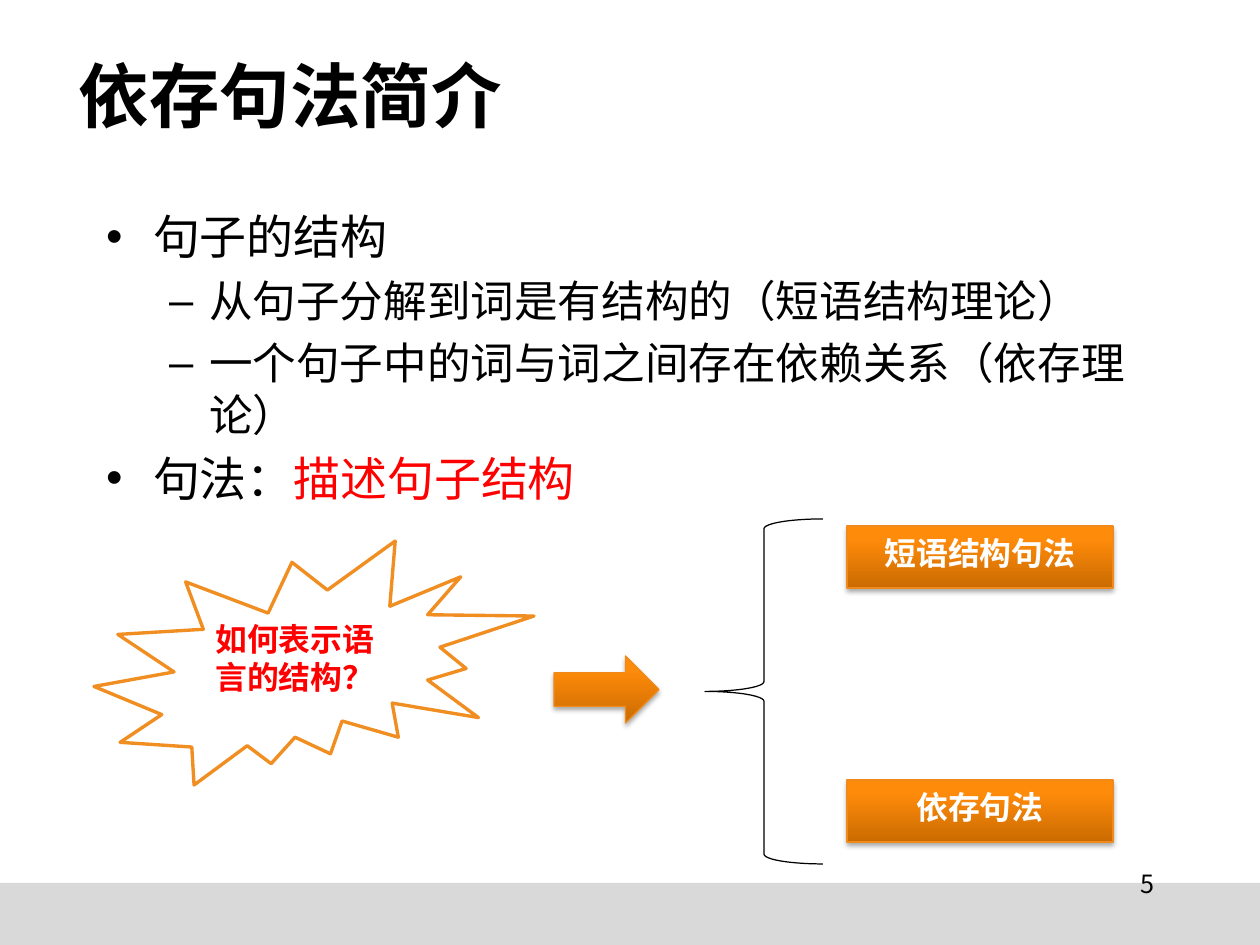
from pptx import Presentation
from pptx.dml.color import RGBColor
from pptx.enum.shapes import MSO_SHAPE
from pptx.enum.text import MSO_ANCHOR, MSO_AUTO_SIZE, PP_ALIGN
from pptx.oxml import parse_xml
from pptx.oxml.ns import nsdecls, qn
from pptx.util import Pt

PX = 7576  # EMU per px
SLIDE_SIZE = (1260, 945)
COLORS = {
    "black": "000000", "white": "FFFFFF", "red": "FF0000", "footer": "D9D9D9",
    "seal": "F08E21", "edge": "F08B1B",
}
GRADIENT = [(0, "CA6B01"), (80, "FF8B0A"), (100, "FF8B0B")]
SANS, SERIF = "Noto Sans CJK SC", "Times New Roman"

TITLE = "依存句法简介"
# level, [(text, color)]
BODY = [
    (0, [("句子的结构", "black")]),
    (1, [("从句子分解到词是有结构的（短语结构理论）", "black")]),
    (1, [("一个句子中的词与词之间存在依赖关系（依存理论）", "black")]),
    (0, [("句法：", "black"), ("描述句子结构", "red")]),
]
# level: size pt, line pitch pt, left margin px, hanging indent px
LEVELS = {0: (28, 33, 47, 47), 1: (26, 31, 103, 40)}
QUESTION = "如何表示语言的结构？"
PAGE_NUMBER = "5"
GRAMMARS = [
    [("短语结构", SERIF), ("句法", SANS)],
    [("依存", SANS), ("句法", SERIF)],
]
GRAMMAR_LEFT, GRAMMAR_TOP, GRAMMAR_PITCH = 847, 526, 254
GRAMMAR_SIZE = (266, 62)


def rgb(name):
    return RGBColor.from_string(COLORS[name])


def place(shape, left, top, width, height):
    shape.left, shape.top = left * PX, top * PX
    shape.width, shape.height = width * PX, height * PX


def add_run(paragraph, text, size, color, font=SANS, bold=False):
    run = paragraph.add_run()
    run.text = text
    run.font.size, run.font.bold = Pt(size), bold
    run.font.color.rgb = rgb(color)
    run.font.name = font
    latin = run.font._element.find(qn("a:latin"))
    latin.addnext(parse_xml(f'<a:ea {nsdecls("a")} typeface="{SANS}"/>'))


def set_frame(frame, anchor=MSO_ANCHOR.TOP, margins=(12, 6, 12, 6)):
    frame.word_wrap, frame.auto_size = True, MSO_AUTO_SIZE.NONE
    frame.vertical_anchor = anchor
    (frame.margin_left, frame.margin_top,
     frame.margin_right, frame.margin_bottom) = [m * PX for m in margins]


def add_shape(slide, kind, box, fill=None, line=None, line_width=0.75):
    shape = slide.shapes.add_shape(kind, *[value * PX for value in box])
    shape.shadow.inherit = False
    if fill:
        shape.fill.solid()
        shape.fill.fore_color.rgb = rgb(fill)
    else:
        shape.fill.background()
    if line:
        shape.line.color.rgb = rgb(line)
        shape.line.width = Pt(line_width)
    else:
        shape.line.fill.background()
    set_frame(shape.text_frame)
    return shape


def add_glossy_shape(slide, kind, box):
    """Add an orange gradient shape with a soft shadow below it."""
    shape = add_shape(slide, kind, box, line="edge")
    shape.fill.gradient()
    shape.fill.gradient_angle = 90
    properties = shape._element.spPr
    stops = properties.find(qn("a:gradFill")).find(qn("a:gsLst"))
    for stop in list(stops):
        stops.remove(stop)
    for position, color in GRADIENT:
        stops.append(parse_xml(
            f'<a:gs {nsdecls("a")} pos="{position * 1000}"><a:srgbClr val="{color}"/></a:gs>'))
    properties.find(qn("a:effectLst")).append(parse_xml(
        f'<a:outerShdw {nsdecls("a")} blurRad="{Pt(3.1)}" dist="{Pt(1.8)}" dir="5400000" '
        f'rotWithShape="0"><a:srgbClr val="{COLORS["black"]}"><a:alpha val="35000"/>'
        '</a:srgbClr></a:outerShdw>'))
    return shape


def add_title(slide):
    title = slide.shapes.title
    place(title, 69, 52, 590, 84)
    set_frame(title.text_frame, MSO_ANCHOR.MIDDLE, (10, 0, 0, 0))
    paragraph = title.text_frame.paragraphs[0]
    paragraph.alignment = PP_ALIGN.LEFT
    add_run(paragraph, TITLE, 42, "black", bold=True)


def add_body(slide):
    body = slide.placeholders[1]
    place(body, 94, 203, 1072, 638)
    frame = body.text_frame
    set_frame(frame)
    for index, (level, runs) in enumerate(BODY):
        paragraph = frame.add_paragraph() if index else frame.paragraphs[0]
        size, pitch, margin, hanging = LEVELS[level]
        paragraph.level = level
        paragraph.line_spacing = Pt(pitch)
        paragraph.space_before = Pt(6 if index else 0)
        properties = paragraph._p.get_or_add_pPr()
        properties.set("marL", str(margin * PX))
        properties.set("indent", str(-hanging * PX))
        for text, color in runs:
            add_run(paragraph, text, size, color)


def add_diagram(slide):
    seal = add_shape(slide, MSO_SHAPE.EXPLOSION2, (94, 541, 440, 244), "white", "seal", 2)
    paragraph = seal.text_frame.paragraphs[0]
    paragraph.alignment = PP_ALIGN.LEFT
    paragraph.line_spacing = Pt(23)
    add_run(paragraph, QUESTION, 19, "red", SERIF, True)

    add_glossy_shape(slide, MSO_SHAPE.RIGHT_ARROW, (554, 656, 105, 67))
    add_shape(slide, MSO_SHAPE.LEFT_BRACE, (705, 519, 118, 345), line="black")

    for index, runs in enumerate(GRAMMARS):
        top = GRAMMAR_TOP + index * GRAMMAR_PITCH
        box = add_glossy_shape(slide, MSO_SHAPE.RECTANGLE, (GRAMMAR_LEFT, top, *GRAMMAR_SIZE))
        paragraph = box.text_frame.paragraphs[0]
        paragraph.alignment = PP_ALIGN.CENTER
        paragraph.line_spacing = Pt(24)
        for text, font in runs:
            add_run(paragraph, text, 19, "white", font, True)


def add_page_number(slide):
    number = slide.shapes.add_textbox(*[value * PX for value in (903, 862, 263, 63)])
    set_frame(number.text_frame)
    paragraph = number.text_frame.paragraphs[0]
    paragraph.alignment = PP_ALIGN.RIGHT
    add_run(paragraph, PAGE_NUMBER, 15, "black")


def main():
    presentation = Presentation()
    presentation.slide_width, presentation.slide_height = [side * PX for side in SLIDE_SIZE]
    slide = presentation.slides.add_slide(presentation.slide_layouts[1])
    add_shape(slide, MSO_SHAPE.RECTANGLE, (0, 883, 1260, 62), "footer")
    add_title(slide)
    add_body(slide)
    add_diagram(slide)
    add_page_number(slide)
    presentation.save("out.pptx")


if __name__ == "__main__":
    main()
